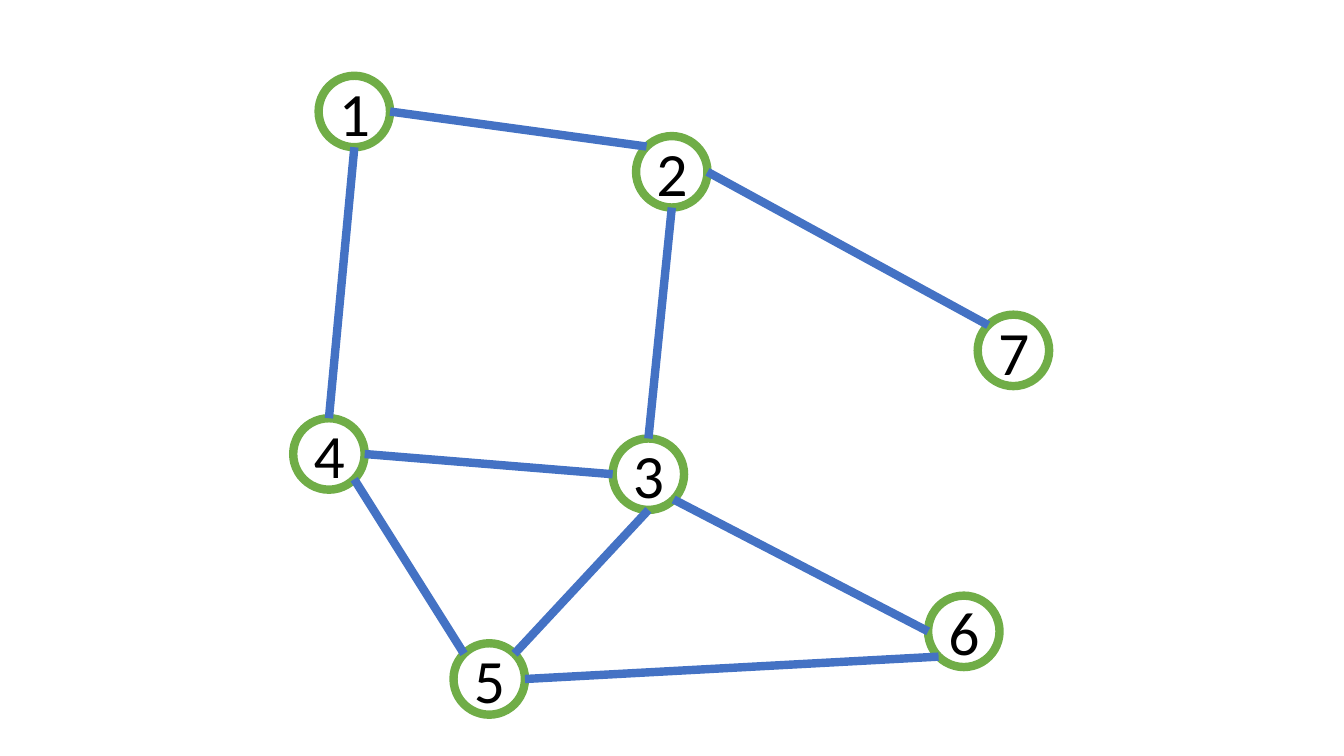
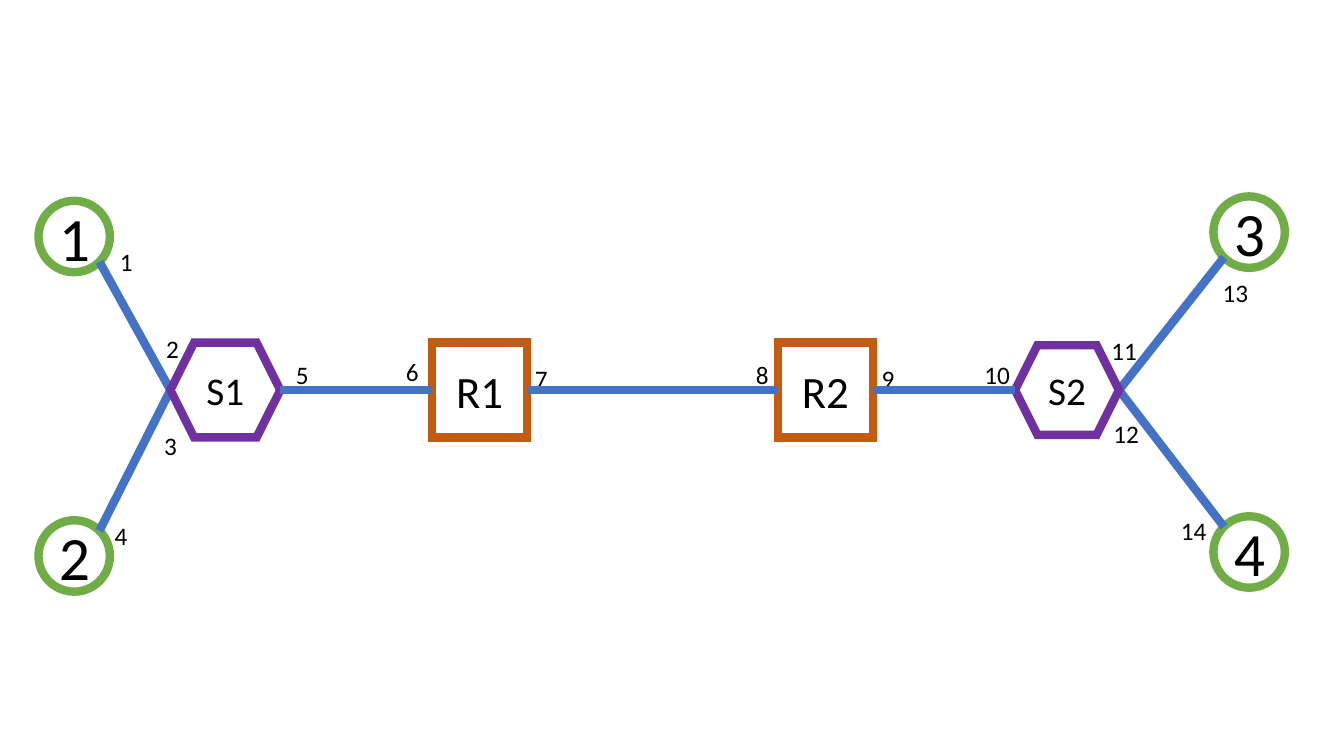
"""Two network diagrams: a graph of hosts, and hosts joined by switches and routers."""
from dataclasses import dataclass

from lxml import etree
from pptx import Presentation
from pptx import util as u
from pptx.dml.color import RGBColor
from pptx.enum import shapes, text
from pptx.oxml.ns import qn

FONT = "Calibri"
BLACK, WHITE = "000000", "FFFFFF"
GREEN, BLUE, PURPLE, ORANGE = "70AD47", "4472C4", "7030A0", "C55A11"
STROKE = 6
HOST_SIZE = 1.8
DIAGONAL = 0.5 ** 0.5
Kind = shapes.MSO_SHAPE


@dataclass
class Node:
    """A labelled shape placed by its centre, in centimetres."""
    label: str
    x: float
    y: float
    width: float = HOST_SIZE
    height: float = HOST_SIZE
    kind: Kind = Kind.OVAL
    color: str = GREEN
    size: int = 44

    def edge(self, side):
        """Return the outline point in a compass direction such as "E" or "SW"."""
        reach = DIAGONAL if len(side) == 2 else 1
        across = ("E" in side) - ("W" in side)
        down = ("S" in side) - ("N" in side)
        return (self.x + across * reach * self.width / 2,
                self.y + down * reach * self.height / 2)


def rgb(value):
    """Turn a hex string into a colour."""
    return RGBColor.from_string(value)


def write(frame, content, size=18, color=BLACK, align=text.PP_ALIGN.LEFT,
          anchor=text.MSO_ANCHOR.TOP, wrap=True):
    """Put one formatted paragraph into a text frame."""
    frame.word_wrap = wrap
    frame.vertical_anchor = anchor
    paragraph = frame.paragraphs[0]
    paragraph.alignment = align
    run = paragraph.add_run()
    run.text = content
    run.font.name = FONT
    run.font.size = u.Pt(size)
    run.font.color.rgb = rgb(color)


def outline(shape, color):
    """Give a shape or connector a thick line with sharp corners."""
    shape.line.color.rgb = rgb(color)
    shape.line.width = u.Pt(STROKE)
    line = shape._element.spPr.find(qn("a:ln"))
    etree.SubElement(line, qn("a:miter"), lim="800000")


def draw_node(slide, node):
    """Draw a node with its label in the centre."""
    shape = slide.shapes.add_shape(
        node.kind, u.Cm(node.x - node.width / 2), u.Cm(node.y - node.height / 2),
        u.Cm(node.width), u.Cm(node.height))
    shape.shadow.inherit = False
    shape.fill.solid()
    shape.fill.fore_color.rgb = rgb(WHITE)
    outline(shape, node.color)
    write(shape.text_frame, node.label, size=node.size,
          align=text.PP_ALIGN.CENTER, anchor=text.MSO_ANCHOR.MIDDLE)


def draw_link(slide, start, end):
    """Draw a straight link between two points."""
    connector = slide.shapes.add_connector(
        shapes.MSO_CONNECTOR.STRAIGHT, *(u.Cm(value) for value in (*start, *end)))
    outline(connector, BLUE)
    etree.SubElement(connector._element.spPr, qn("a:effectLst"))


def draw_port(slide, label, left, top):
    """Write a port number beside a link."""
    width = 0.84 if len(label) == 1 else 1.17
    box = slide.shapes.add_textbox(u.Cm(left), u.Cm(top), u.Cm(width), u.Cm(1.02))
    write(box.text_frame, label, wrap=False)


def place_hosts(centres, left, top):
    """Return numbered hosts at centres measured from a corner."""
    return {number: Node(str(number), left + x, top + y)
            for number, (x, y) in enumerate(centres, 1)}


def graph(slide, left, top):
    """Draw the graph of seven hosts from its top left corner."""
    centres = [(1.54, 0.9), (9.54, 2.42), (8.95, 10.04), (0.9, 9.53),
               (4.94, 15.2), (16.9, 14), (18.15, 6.92)]
    links = [(1, "E", 2, "NW"), (1, "S", 4, "N"), (2, "S", 3, "N"),
             (4, "E", 3, "W"), (2, "E", 7, "NW"), (3, "SE", 6, "W"),
             (4, "SE", 5, "NW"), (5, "E", 6, "SW"), (5, "NE", 3, "S")]
    hosts = place_hosts(centres, left, top)
    for host in hosts.values():
        draw_node(slide, host)
    for first, leaving, second, entering in links:
        draw_link(slide, hosts[first].edge(leaving), hosts[second].edge(entering))


def network(slide, left, top):
    """Draw hosts, switches, routers and ports from the top left corner."""
    axis = top + 4.88
    hosts = place_hosts([(0.9, 1.01), (0.9, 9.06), (30.51, 0.9), (30.51, 8.96)],
                        left, top)
    switch = {"kind": Kind.HEXAGON, "color": PURPLE, "size": 28}
    router = {"kind": Kind.RECTANGLE, "color": ORANGE, "size": 32}
    backbone = [Node("S1", left + 4.71, axis, 2.77, 2.39, **switch),
                Node("R1", left + 11.12, axis, 2.39, 2.39, **router),
                Node("R2", left + 19.83, axis, 2.39, 2.39, **router),
                Node("S2", left + 25.92, axis, 2.62, 2.26, **switch)]
    ports = [(1.8, 1.12), (2.97, 3.33), (2.92, 5.77), (1.67, 8.03),
             (6.24, 3.97), (9.01, 3.91), (12.26, 4.07), (17.83, 3.97),
             (21, 4.07), (23.59, 3.97), (26.79, 3.38), (26.84, 5.46),
             (29.59, 1.91), (28.54, 7.9)]
    access = [(1, "SE", 0, "W"), (2, "NE", 0, "W"),
              (3, "SW", -1, "E"), (4, "NW", -1, "E")]
    for host in hosts.values():
        draw_node(slide, host)
    for number, leaving, index, entering in access:
        draw_link(slide, hosts[number].edge(leaving), backbone[index].edge(entering))
    for number, (x, y) in enumerate(ports, 1):
        draw_port(slide, str(number), left + x, top + y)
    for node in backbone:
        draw_node(slide, node)
    for first, second in zip(backbone, backbone[1:]):
        draw_link(slide, first.edge("E"), second.edge("W"))


def main():
    """Build and save both slides."""
    presentation = Presentation()
    presentation.slide_width = u.Cm(33.87)
    presentation.slide_height = u.Cm(19.05)
    blank = presentation.slide_layouts[6]
    graph(presentation.slides.add_slide(blank), 7.39, 1.91)
    network(presentation.slides.add_slide(blank), 0.97, 4.95)
    presentation.save("out.pptx")


main()
